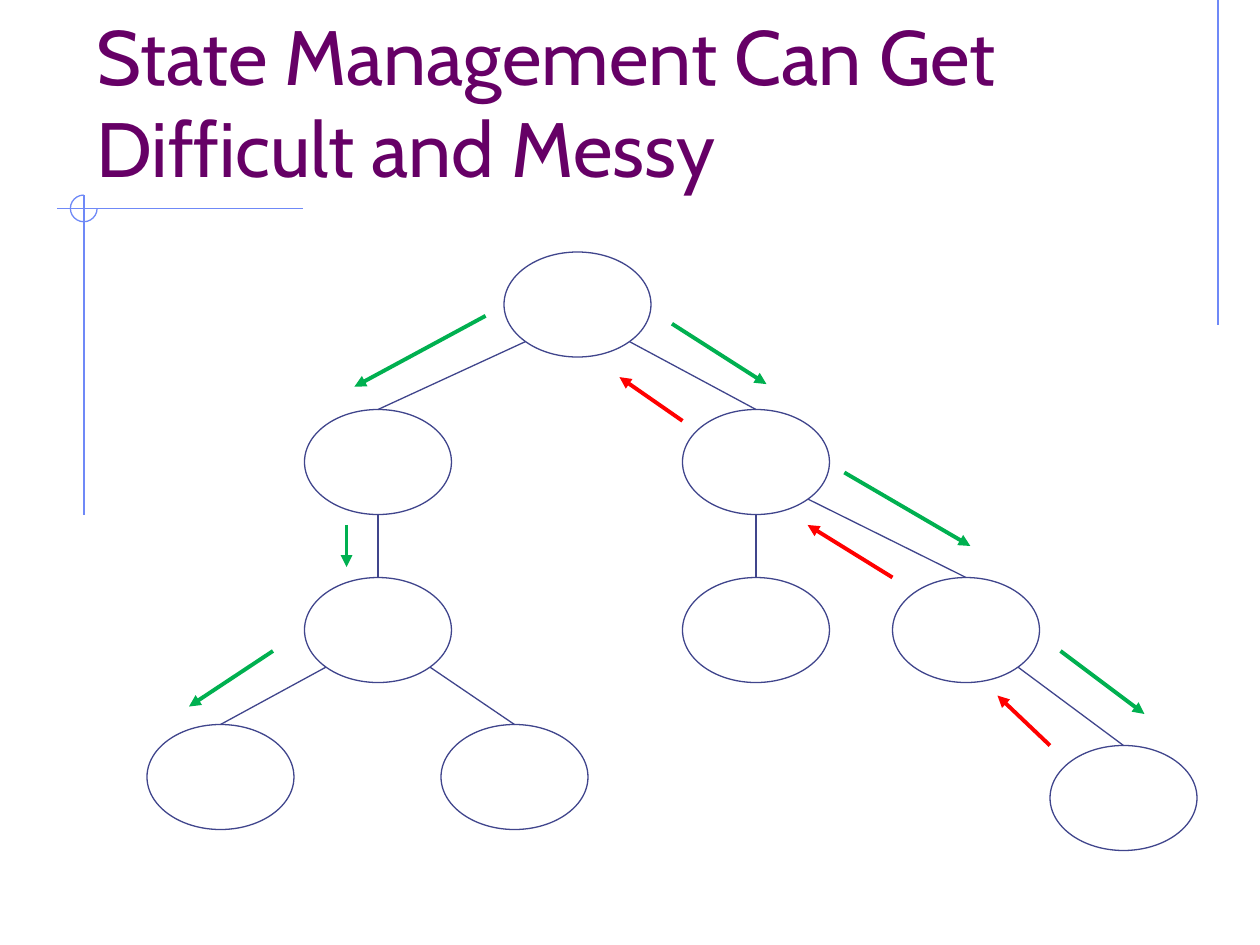
from typing import NamedTuple

from lxml import etree
from pptx import Presentation
from pptx.dml.color import RGBColor
from pptx.enum.shapes import MSO_CONNECTOR, MSO_SHAPE
from pptx.enum.text import MSO_ANCHOR
from pptx.oxml.ns import qn
from pptx.util import Pt

STRAIGHT = MSO_CONNECTOR.STRAIGHT
ELLIPSE = MSO_SHAPE.OVAL
ARC = MSO_SHAPE.ARC
BOTTOM = MSO_ANCHOR.BOTTOM

COLORS = {
    "title": "660066",
    "frame": "6F89F7",
    "tree": "40458C",
    "down": "00B050",
    "up": "FF0000",
}
NODE_W, NODE_H = 84, 60
DIAGONAL = 0.5 ** 0.5


class Node(NamedTuple):
    left: float
    top: float


class Edge(NamedTuple):
    parent: str
    child: str
    side: int


class Line(NamedTuple):
    x1: float
    y1: float
    x2: float
    y2: float
    color: str


NODES = {
    "root": Node(288, 144),
    "left": Node(174, 234),
    "right": Node(390, 234),
    "right_inner": Node(390, 330),
    "right_outer": Node(510, 330),
    "right_leaf": Node(600, 426),
    "left_inner": Node(174, 330),
    "left_leaf_1": Node(84, 414),
    "left_leaf_2": Node(252, 414),
}
EDGES = [
    Edge("root", "left", -1),
    Edge("root", "right", 1),
    Edge("left", "left_inner", 0),
    Edge("right", "right_inner", 0),
    Edge("right", "right_outer", 1),
    Edge("left_inner", "left_leaf_1", -1),
    Edge("left_inner", "left_leaf_2", 1),
    Edge("right_outer", "right_leaf", 1),
]
FRAME = [
    Line(696, 0, 696, 186, "frame"),
    Line(173, 119.25, 32.5, 119.25, "frame"),
    Line(48, 111.5, 48, 294.5, "frame"),
]
ARROWS = [
    Line(198, 300, 198, 324, "down"),
    Line(277.5, 180.5, 202.5, 221, "down"),
    Line(156, 372, 108, 403.75, "down"),
    Line(384, 185, 438, 219.5, "down"),
    Line(482.5, 270, 554.5, 312, "down"),
    Line(606, 372, 654, 408, "down"),
    Line(390, 240.5, 354, 215.5, "up"),
    Line(510, 330, 461.5, 300, "up"),
    Line(600, 426, 570, 397.5, "up"),
]


def rgb(name: str) -> RGBColor:
    return RGBColor.from_string(COLORS[name])


def add_line(shapes, line: Line, width: float = 0.75, arrow: bool = False):
    cxn = shapes.add_connector(
        STRAIGHT, Pt(line.x1), Pt(line.y1), Pt(line.x2), Pt(line.y2)
    )
    cxn.line.color.rgb = rgb(line.color)
    cxn.line.width = Pt(width)
    sp_pr = cxn._element.spPr
    if arrow:
        etree.SubElement(sp_pr.find(qn("a:ln")), qn("a:tailEnd"), type="triangle")
    etree.SubElement(sp_pr, qn("a:effectLst"))
    return cxn


def add_outline(shapes, kind, left: float, top: float, width: float, height: float, color: str):
    sp = shapes.add_shape(kind, Pt(left), Pt(top), Pt(width), Pt(height))
    sp.shadow.inherit = False
    sp.fill.background()
    sp.line.color.rgb = rgb(color)
    sp.line.width = Pt(0.75)
    return sp


def add_edge(shapes, edge: Edge, ovals: dict) -> None:
    parent, child = NODES[edge.parent], NODES[edge.child]
    x = parent.left + NODE_W / 2 * (1 + edge.side * DIAGONAL)
    y = parent.top + NODE_H / 2 * (1 + (DIAGONAL if edge.side else 1))
    line = Line(x, y, child.left + NODE_W / 2, child.top, "tree")
    add_line(shapes, line).end_connect(ovals[edge.child], 0)


def add_title(shapes, text: str) -> None:
    tf = shapes.add_textbox(Pt(48), Pt(24), Pt(612), Pt(90)).text_frame
    tf.word_wrap = True
    tf.vertical_anchor = BOTTOM
    p = tf.paragraphs[0]
    p.text = text
    p.font.name = "Cabin"
    p.font.size = Pt(44)
    p.font.color.rgb = rgb("title")


def main() -> None:
    """Build the state management tree slide."""
    prs = Presentation()
    prs.slide_width, prs.slide_height = Pt(720), Pt(540)
    shapes = prs.slides.add_slide(prs.slide_layouts[6]).shapes

    for line in FRAME:
        add_line(shapes, line)
    arc = add_outline(shapes, ARC, 40.25, 111.5, 15.25, 15.25, "frame")
    arc.adjustments[0] = 0
    arc.adjustments[1] = 162
    add_title(shapes, "State Management Can Get Difficult and Messy")

    ovals = {
        name: add_outline(shapes, ELLIPSE, node.left, node.top, NODE_W, NODE_H, "tree")
        for name, node in NODES.items()
    }
    for edge in EDGES:
        add_edge(shapes, edge, ovals)
    for arrow in ARROWS:
        add_line(shapes, arrow, 2.25, True)

    prs.save("out.pptx")


if __name__ == "__main__":
    main()
